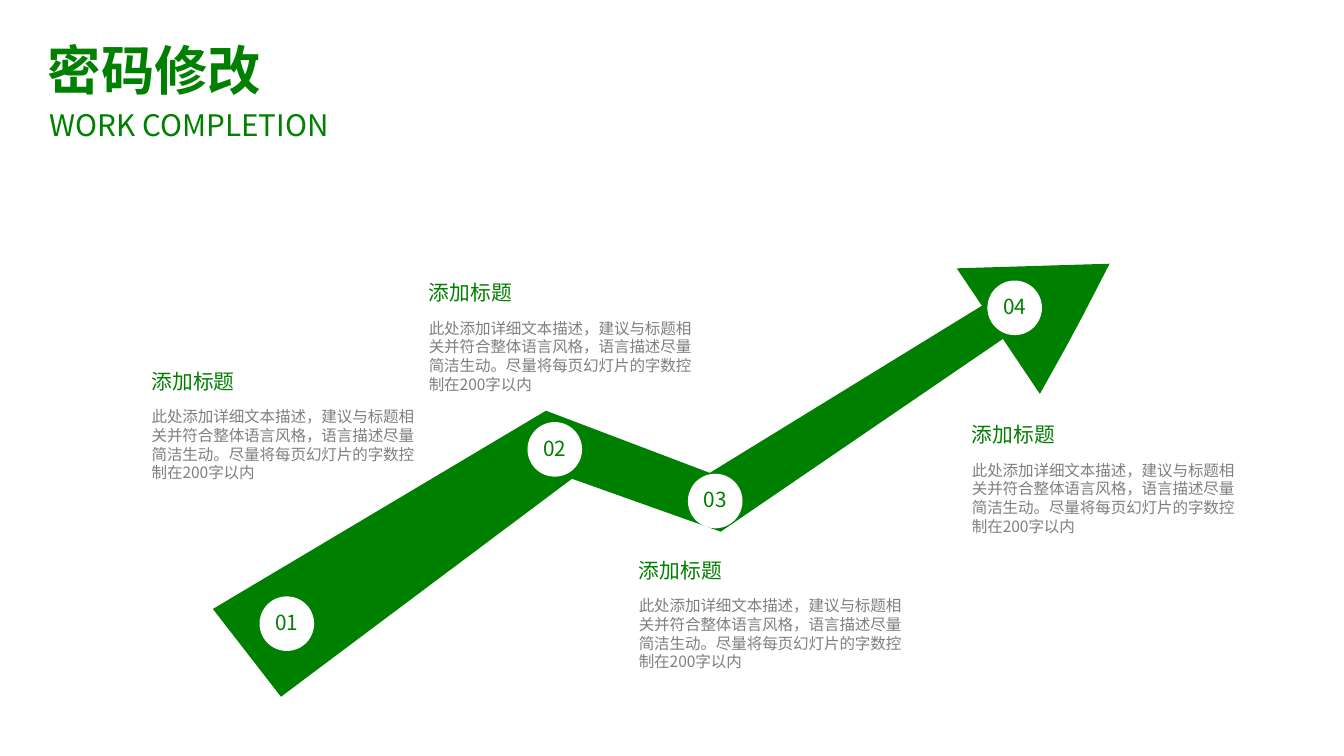
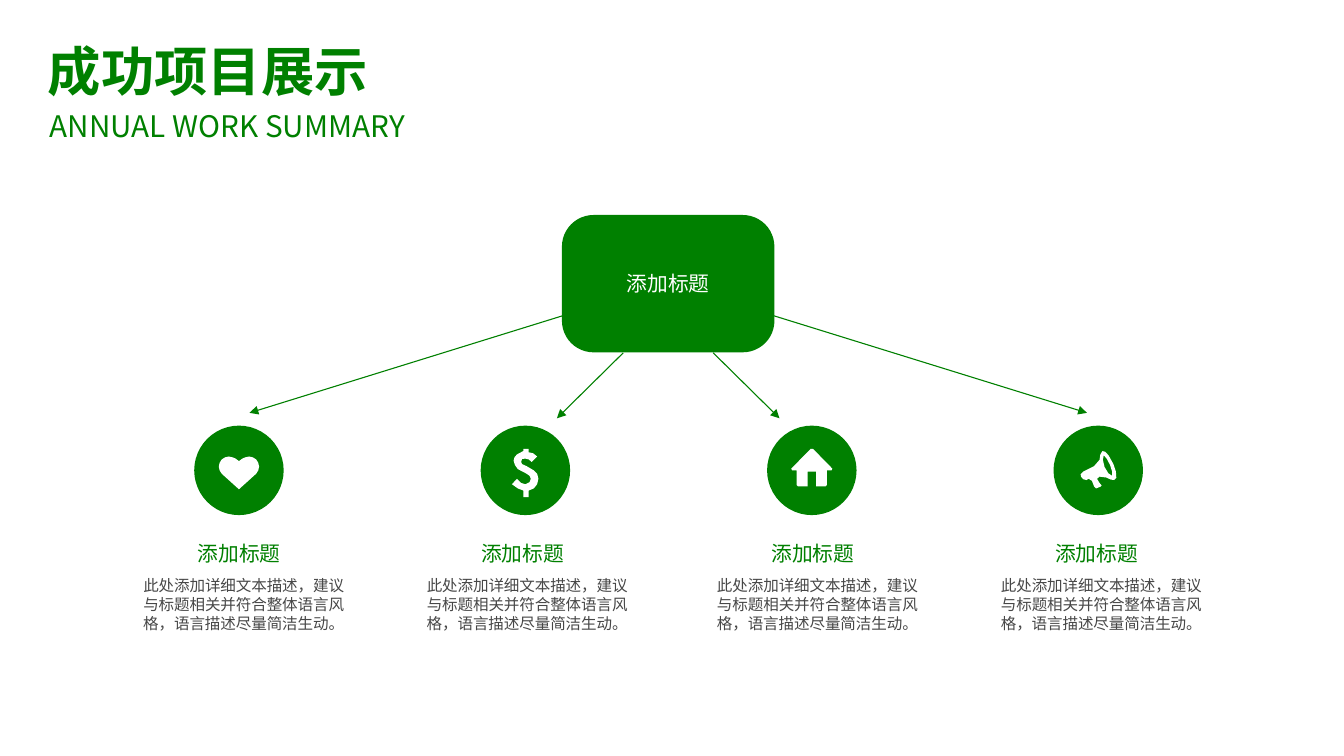
import lxml.etree
import pptx
import pptx.dml.color
import pptx.enum.shapes
import pptx.enum.text
import pptx.oxml.ns
import pptx.util

Cm = pptx.util.Cm
Pt = pptx.util.Pt
RGBColor = pptx.dml.color.RGBColor
PP_ALIGN = pptx.enum.text.PP_ALIGN
MSO_ANCHOR = pptx.enum.text.MSO_ANCHOR
MSO_SHAPE = pptx.enum.shapes.MSO_SHAPE
qn = pptx.oxml.ns.qn

GREEN = RGBColor(0x00, 0x80, 0x00)
WHITE = RGBColor(0xFF, 0xFF, 0xFF)
GRAY = RGBColor(0x7F, 0x7F, 0x7F)
DARK_GRAY = RGBColor(0x47, 0x47, 0x47)
FONT = "Noto Sans CJK SC"
OUTLINE_UNIT = Cm(0.01)

CAPTION = "添加标题"
STEP_TEXT = "此处添加详细文本描述，建议与标题相关并符合整体语言风格，语言描述尽量简洁生动。尽量将每页幻灯片的字数控制在200字以内"
PROJECT_TEXT = "此处添加详细文本描述，建议与标题相关并符合整体语言风格，语言描述尽量简洁生动。"

STEPS = [
    {"number": "01", "center": (6.83, 14.85), "caption": (3.61, 8.71)},
    {"number": "02", "center": (13.21, 10.7), "caption": (10.21, 6.6)},
    {"number": "03", "center": (17.03, 11.93), "caption": (15.21, 13.21)},
    {"number": "04", "center": (24.16, 7.33), "caption": (23.14, 9.98)},
]
STEP_DIAMETER = 1.3

RISING_ARROW = [
    (2278, 639), (2338, 728), (1690, 1126), (1300, 978), (507, 1450), (669, 1659),
    (1362, 1140), (1716, 1266), (2388, 807), (2476, 938), (2540, 823), (2578, 752),
    (2642, 628),
]

HALF_HEART = [
    (0, -22), (8, -28), (15, -31), (24, -33), (33, -31), (41, -26), (46, -18),
    (48, -9), (46, 0), (41, 8), (0, 45),
]
HALF_HOUSE = [
    (3, -51), (49, -4), (47, 0), (36, 0), (36, 35), (33, 38), (10, 38), (10, 3),
]
DOLLAR = [
    (28, -33), (15, -20), (8, -26), (0, -28), (-8, -27), (-10, -20), (-8, -15),
    (3, -10), (20, 0), (28, 8), (31, 20), (28, 33), (20, 43), (8, 48), (8, 64),
    (-5, 64), (-5, 48), (-18, 43), (-32, 33), (-20, 20), (-10, 30), (0, 33),
    (10, 28), (13, 20), (10, 13), (3, 8), (-18, -3), (-25, -13), (-28, -23),
    (-26, -31), (-20, -38), (-5, -46), (-5, -51), (8, -51), (8, -43), (18, -41),
]
MEGAPHONE = [
    (36, -15), (25, -35), (17, -44), (10, -46), (5, -38), (3, -25), (-10, -10),
    (-36, 3), (-42, 9), (-41, 15), (-36, 21), (-28, 23), (-23, 20), (-15, 25),
    (-10, 38), (-5, 43), (5, 39), (8, 36), (3, 30), (-3, 20), (3, 15), (19, 17),
    (30, 22), (38, 23), (43, 18), (42, 3),
]
MEGAPHONE_OPENING = [
    (33, 13), (24, 7), (15, -8), (11, -25), (13, -36), (20, -28), (28, -13), (33, 3),
]

PROJECT_LEFTS = [3.28, 10.03, 16.94, 23.7]
PROJECT_CENTER = (5.69, 11.2)
PROJECT_PITCH = 6.82
PROJECT_DIAMETER = 2.13

HUB = {"left": 13.38, "top": 5.12, "width": 5.06, "height": 3.27}
HUB_ARROWS = [((1.07, 8.4), (2.65, 9.96)), ((2.52, 7.52), (9.97, 9.83))]


def mirrored(half):
    return half + [(-x, y) for x, y in reversed(half)]


ICONS = [
    [mirrored(HALF_HEART)],
    [DOLLAR],
    [mirrored(HALF_HOUSE)],
    [MEGAPHONE, MEGAPHONE_OPENING],
]


def write(shape, text, size, color, alignment=PP_ALIGN.LEFT, anchor=MSO_ANCHOR.TOP,
          margins=(0, 0), spacing=1.0, bold=False):
    frame = shape.text_frame
    frame.word_wrap = True
    frame.auto_size = pptx.enum.text.MSO_AUTO_SIZE.NONE
    frame.vertical_anchor = anchor
    frame.margin_left = frame.margin_right = Cm(margins[0])
    frame.margin_top = frame.margin_bottom = Cm(margins[1])
    paragraph = frame.paragraphs[0]
    paragraph.alignment = alignment
    paragraph.line_spacing = spacing
    run = paragraph.add_run()
    run.text = text
    run.font.name = FONT
    run.font.size = Pt(size)
    run.font.bold = bold
    run.font.color.rgb = color
    east_asian = lxml.etree.SubElement(run._r.get_or_add_rPr(), qn("a:ea"))
    east_asian.set("typeface", FONT)


def add_text(slide, left, top, width, height, text, size, color, **style):
    box = slide.shapes.add_textbox(Cm(left), Cm(top), Cm(width), Cm(height))
    write(box, text, size, color, **style)


def paint(shape, color):
    shape.shadow.inherit = False
    shape.fill.solid()
    shape.fill.fore_color.rgb = color
    shape.line.fill.background()


def add_circle(slide, center, diameter, color):
    left, top = (value - diameter / 2 for value in center)
    circle = slide.shapes.add_shape(
        MSO_SHAPE.OVAL, Cm(left), Cm(top), Cm(diameter), Cm(diameter))
    paint(circle, color)
    return circle


def add_outline(slide, contours, color, origin=(0, 0)):
    builder = slide.shapes.build_freeform(*contours[0][0], scale=OUTLINE_UNIT)
    for index, contour in enumerate(contours):
        if index:
            builder.move_to(*contour[0])
        builder.add_line_segments(contour[1:], close=True)
    paint(builder.convert_to_shape(Cm(origin[0]), Cm(origin[1])), color)


def add_arrow(slide, start, end):
    arrow = slide.shapes.add_connector(
        pptx.enum.shapes.MSO_CONNECTOR.STRAIGHT,
        Cm(start[0]), Cm(start[1]), Cm(end[0]), Cm(end[1]))
    arrow.line.color.rgb = GREEN
    arrow.line.width = Pt(0.75)
    tail = lxml.etree.SubElement(arrow.line._get_or_add_ln(), qn("a:tailEnd"))
    tail.set("type", "triangle")
    lxml.etree.SubElement(arrow._element.spPr, qn("a:effectLst"))


def add_caption(slide, left, top, width, alignment=PP_ALIGN.LEFT):
    add_text(slide, left, top, width, 0.81, CAPTION, 14, GREEN, alignment=alignment,
             anchor=MSO_ANCHOR.MIDDLE, margins=(0, 0.13), spacing=0.9)


def add_titled_slide(presentation, title, subtitle, top):
    slide = presentation.slides.add_slide(presentation.slide_layouts[5])
    placeholder = slide.shapes.title
    placeholder.left, placeholder.top = Cm(0.86), Cm(top)
    placeholder.width, placeholder.height = Cm(10.13), Cm(1.83)
    write(placeholder, title, 36, GREEN, margins=(0.28, 0.15), bold=True)
    add_text(slide, 1.19, top + 1.8, 10, 0.86, subtitle, 20, GREEN)
    return slide


def build_steps(presentation):
    slide = add_titled_slide(presentation, "密码修改", "WORK COMPLETION", 0.74)
    add_outline(slide, [RISING_ARROW], GREEN)
    for step in STEPS:
        circle = add_circle(slide, step["center"], STEP_DIAMETER, WHITE)
        write(circle, step["number"], 14, GREEN, alignment=PP_ALIGN.CENTER,
              anchor=MSO_ANCHOR.MIDDLE, spacing=0.9)
        left, top = step["caption"]
        add_caption(slide, left, top, 6.43)
        add_text(slide, left, top + 0.99, 6.6, 1.8, STEP_TEXT, 10.5, GRAY)


def build_projects(presentation):
    slide = add_titled_slide(presentation, "成功项目展示", "ANNUAL WORK SUMMARY", 0.77)
    hub = slide.shapes.add_shape(
        MSO_SHAPE.ROUNDED_RECTANGLE, *(Cm(value) for value in HUB.values()))
    hub.adjustments[0] = 0.23
    paint(hub, GREEN)
    write(hub, CAPTION, 14, WHITE, alignment=PP_ALIGN.CENTER, anchor=MSO_ANCHOR.MIDDLE)

    middle = HUB["left"] + HUB["width"] / 2
    for side in (-1, 1):
        for start, end in HUB_ARROWS:
            add_arrow(slide, (middle + side * start[0], start[1]),
                      (middle + side * end[0], end[1]))

    for index, (left, icon) in enumerate(zip(PROJECT_LEFTS, ICONS)):
        center = (PROJECT_CENTER[0] + index * PROJECT_PITCH, PROJECT_CENTER[1])
        add_circle(slide, center, PROJECT_DIAMETER, GREEN)
        add_outline(slide, icon, WHITE, center)
        add_caption(slide, left, 12.8, 4.83, PP_ALIGN.CENTER)
        add_text(slide, left + 0.11, 13.72, 4.83, 1.35, PROJECT_TEXT, 10.5, DARK_GRAY,
                 alignment=PP_ALIGN.CENTER)


def main():
    presentation = pptx.Presentation()
    presentation.slide_width = Cm(32)
    presentation.slide_height = Cm(18)
    build_steps(presentation)
    build_projects(presentation)
    presentation.save("out.pptx")


if __name__ == "__main__":
    main()
